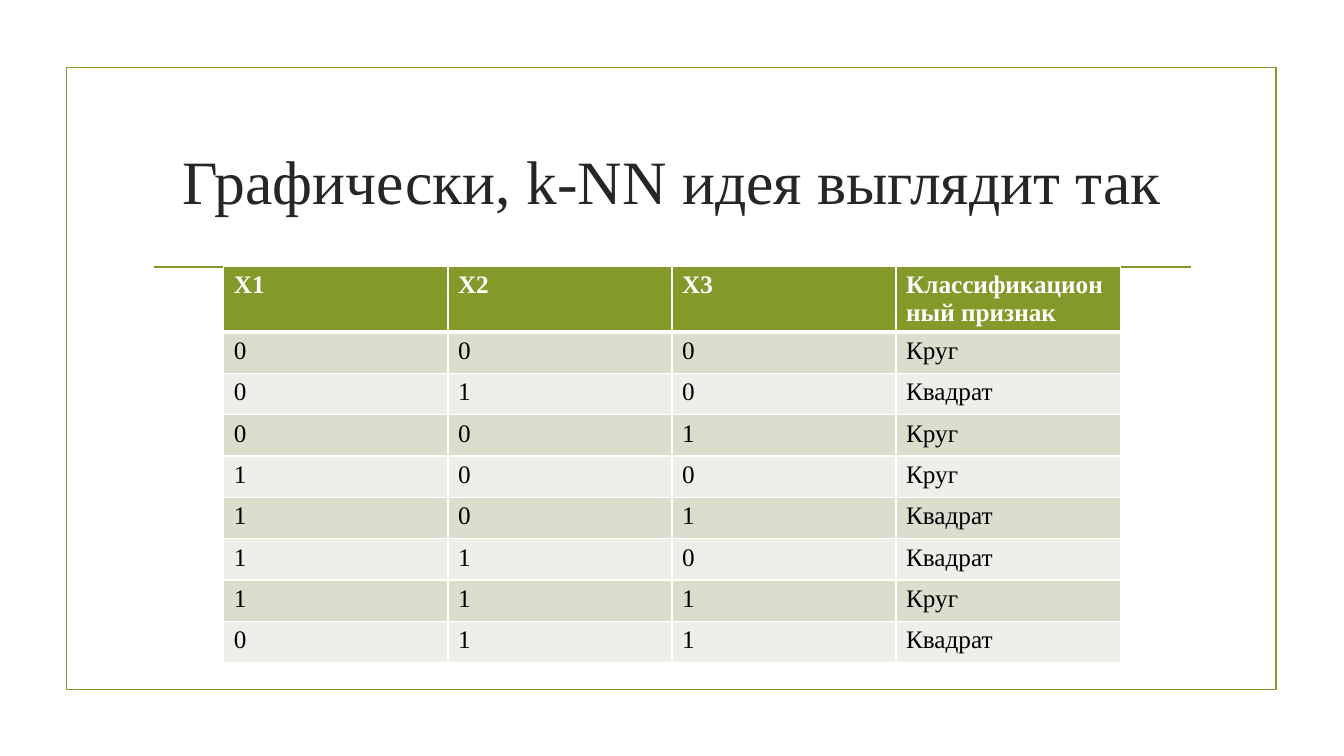
"""Build a slide with a table of k-NN training examples."""
from lxml.etree import SubElement
from pptx import Presentation
from pptx.dml.color import RGBColor
from pptx.enum.shapes import MSO_CONNECTOR, MSO_SHAPE
from pptx.enum.text import MSO_ANCHOR, PP_ALIGN
from pptx.oxml.ns import qn
from pptx.util import Inches, Pt

FONT = "Times New Roman"
GREEN, WHITE, BLACK, DARK = "83992A", "FFFFFF", "000000", "262626"
BANDS = ("D9DECD", "EDEFE8")
HEADER = ("X1", "X2", "X3", "Классификационный признак")
EXAMPLES = (
    ("0", "0", "0", "Круг"),
    ("0", "1", "0", "Квадрат"),
    ("0", "0", "1", "Круг"),
    ("1", "0", "0", "Круг"),
    ("1", "0", "1", "Квадрат"),
    ("1", "1", "0", "Квадрат"),
    ("1", "1", "1", "Круг"),
    ("0", "1", "1", "Квадрат"),
)


def color(value):
    return RGBColor.from_string(value)


def set_text(text_frame, text, font_color, size, bold=False, align=PP_ALIGN.LEFT):
    paragraph = text_frame.paragraphs[0]
    paragraph.alignment = align
    run = paragraph.add_run()
    run.text = text
    run.font.color.rgb = color(font_color)
    for name, value in {"name": FONT, "size": Pt(size), "bold": bold}.items():
        setattr(run.font, name, value)


def style_line(line):
    line.color.rgb = color(GREEN)
    line.width = Pt(1.25)


def add_frame(slide, left, top, width, height):
    frame = slide.shapes.add_shape(
        MSO_SHAPE.RECTANGLE, Inches(left), Inches(top), Inches(width), Inches(height)
    )
    frame.shadow.inherit = False
    frame.fill.background()
    style_line(frame.line)


def add_rule(slide, left, right, y):
    rule = slide.shapes.add_connector(
        MSO_CONNECTOR.STRAIGHT, Inches(left), Inches(y), Inches(right), Inches(y)
    )
    style_line(rule.line)
    SubElement(rule._element.spPr, qn("a:effectLst"))


def place_title(slide, text):
    title = slide.shapes.title
    box = {"left": 1.42, "top": 1.07, "width": 10.5, "height": 1.43}
    for name, value in box.items():
        setattr(title, name, Inches(value))
    title.text_frame.word_wrap = True
    title.text_frame.vertical_anchor = MSO_ANCHOR.MIDDLE
    set_text(title.text_frame, text, DARK, 44, align=PP_ALIGN.CENTER)


def set_borders(cell, widths):
    properties = cell._tc.get_or_add_tcPr()
    for side, width in widths.items():
        border = SubElement(properties, qn(f"a:ln{side}"), w=str(Pt(width)))
        fill = SubElement(border, qn("a:solidFill"))
        SubElement(fill, qn("a:srgbClr"), val=WHITE)


def fill_cell(cell, text, row_index):
    is_header = row_index == 0
    top = 3 if row_index == 1 else 1
    bottom = 3 if is_header else 1
    set_borders(cell, {"L": 1, "R": 1, "T": top, "B": bottom})
    cell.fill.solid()
    cell.fill.fore_color.rgb = color(GREEN if is_header else BANDS[(row_index - 1) % 2])
    set_text(cell.text_frame, text, WHITE if is_header else BLACK, 18, is_header)


def add_examples_table(slide, left, top, width, header_height, row_height):
    rows = (HEADER, *EXAMPLES)
    height = header_height + row_height * len(EXAMPLES)
    table = slide.shapes.add_table(
        len(rows), len(HEADER), Inches(left), Inches(top), Inches(width), Inches(height)
    ).table
    for row_index, texts in enumerate(rows):
        table.rows[row_index].height = Inches(row_height if row_index else header_height)
        for column_index, text in enumerate(texts):
            fill_cell(table.cell(row_index, column_index), text, row_index)


def main():
    presentation = Presentation()
    presentation.slide_width = Inches(13.33)
    presentation.slide_height = Inches(7.5)
    slide = presentation.slides.add_slide(presentation.slide_layouts[5])
    add_frame(slide, 0.66, 0.67, 12, 6.17)
    add_rule(slide, 1.53, 11.81, 2.65)
    place_title(slide, "Графически, k-NN идея выглядит так")
    add_examples_table(slide, 2.22, 2.64, 8.89, 0.65, 0.41)
    presentation.save("out.pptx")


if __name__ == "__main__":
    main()
